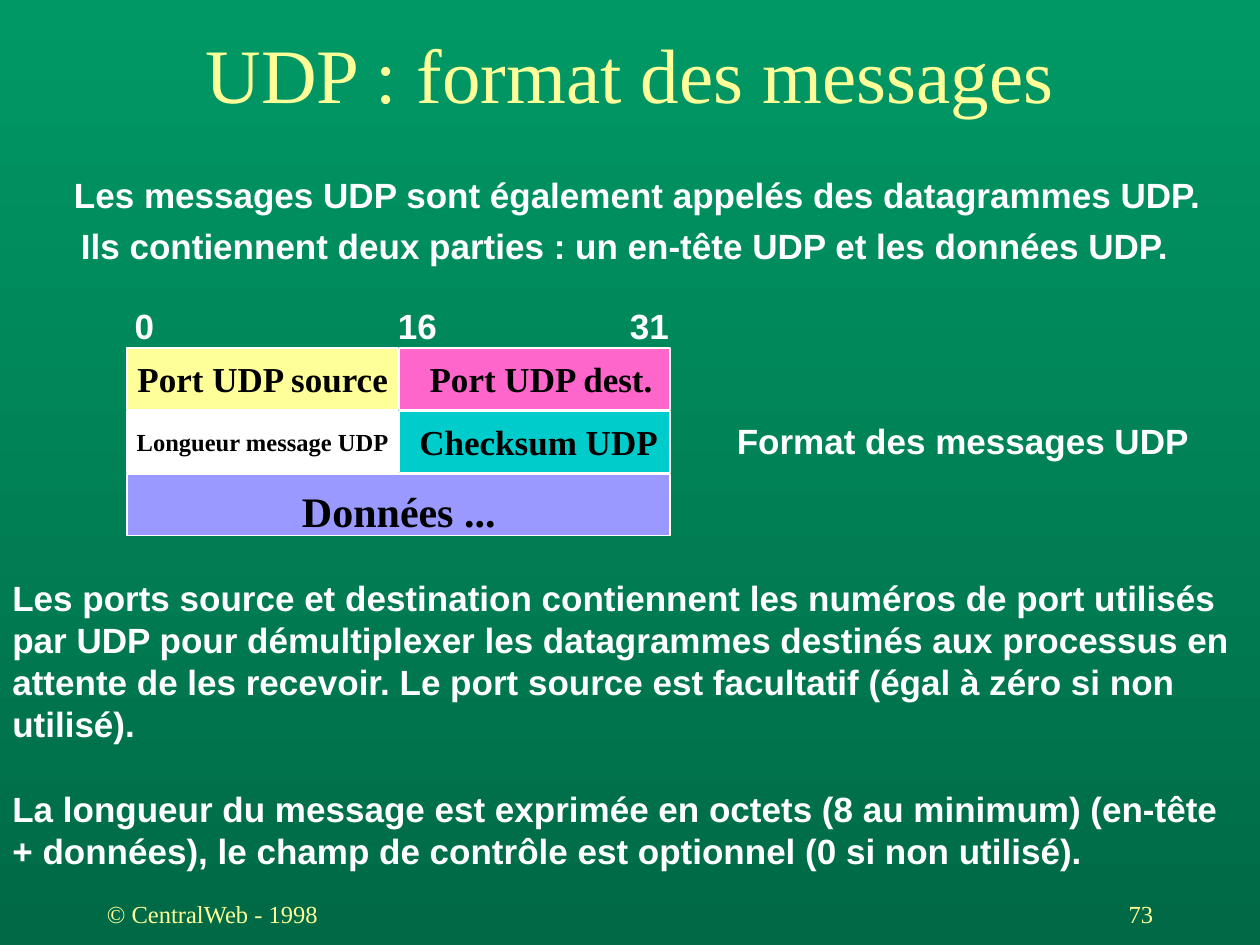
from pptx import Presentation
from pptx.dml.color import RGBColor
from pptx.enum.shapes import MSO_SHAPE as Shape
from pptx.enum.text import MSO_ANCHOR as Anchor, PP_ALIGN as Align
from pptx.oxml import parse_xml
from pptx.oxml.ns import nsdecls
from pptx.util import Inches, Pt

SANS, SERIF = "Arial", "Times New Roman"
WHITE, BLACK, CREAM = "FFFFFF", "000000", "FFFF99"


def color(code):
    return RGBColor.from_string(code)


def paint(slide, top, base):
    fill = slide.background.fill
    fill.gradient()
    fill.gradient_angle = 270
    for stop, code in zip(fill.gradient_stops, (top, base)):
        stop.color.rgb = color(code)


def write(para, text, size, font, code, bold=True, align=Align.LEFT):
    para.alignment = align
    run = para.add_run()
    run.text = text
    run.font.size = Pt(size)
    run.font.name = font
    run.font.bold = bold
    run.font.color.rgb = color(code)


def add_text(slide, box, lines, size=20, font=SANS, code=WHITE, bold=True,
             align=Align.LEFT, anchor=Anchor.TOP, gap=0):
    frame = slide.shapes.add_textbox(*map(Inches, box)).text_frame
    frame.word_wrap = True
    frame.vertical_anchor = anchor
    for i, line in enumerate(lines):
        para = frame.add_paragraph() if i else frame.paragraphs[0]
        if i:
            para.space_before = Pt(gap)
        write(para, line, size, font, code, bold, align)
    return frame


def add_cell(slide, box, fill, text, size=20, shift=0, anchor=Anchor.MIDDLE):
    cell = slide.shapes.add_shape(Shape.RECTANGLE, *map(Inches, box))
    cell.shadow.inherit = False
    cell.fill.solid()
    cell.fill.fore_color.rgb = color(fill)
    cell.line.color.rgb = color(WHITE)
    cell.line.width = Pt(1)
    frame = cell.text_frame
    frame.word_wrap = True
    frame.vertical_anchor = anchor
    frame.margin_left = Inches(shift)
    frame.margin_right = frame.margin_top = frame.margin_bottom = 0
    write(frame.paragraphs[0], text, size, SERIF, BLACK, align=Align.CENTER)


def set_tabs(para, stops):
    tabs = "".join(f'<a:tab pos="{Inches(pos)}" algn="{side}"/>'
                   for pos, side in stops)
    props = para._p.get_or_add_pPr()
    props.insert(0, parse_xml(f'<a:tabLst {nsdecls("a")}>{tabs}</a:tabLst>'))


def add_format(slide):
    # Bit scale above the fields
    scale = add_text(slide, (0.97, 2.37, 4.6, 0.43), ["0\t16\t31"])
    set_tabs(scale.paragraphs[0], [(2.09, "l"), (4.24, "r")])

    # Header fields, two to a row, then the data
    left, top, wide, high = 1.01, 2.76, 2.15, 0.49
    step_x, step_y = 2.16, 0.5
    header = [
        [(CREAM, "Port UDP source", 20, 0), ("FF66CC", "Port UDP dest.", 20, 0.1)],
        [(WHITE, "Longueur message UDP", 14, 0), ("00CCCC", "Checksum UDP", 20, 0.06)],
    ]
    for r, row in enumerate(header):
        for c, field in enumerate(row):
            add_cell(slide, (left + c * step_x, top + r * step_y, wide, high), *field)
    add_cell(slide, (left, top + 2 * step_y, step_x + wide, high),
             "9999FF", "Données ...", 24, anchor=Anchor.BOTTOM)
    add_text(slide, (5.75, 3.28, 4, 0.43), ["Format des messages UDP"])


def main():
    deck = Presentation()
    deck.slide_width, deck.slide_height = Inches(10), Inches(7.5)
    slide = deck.slides.add_slide(deck.slide_layouts[6])
    paint(slide, "009966", "006A46")

    # Title and introduction
    add_text(slide, (0, 0.23, 10, 0.69), ["UDP : format des messages"], 44, SERIF,
             CREAM, False, Align.CENTER, Anchor.MIDDLE)
    intro = add_text(slide, (0, 1.33, 9.92, 0.9), [
        "Les messages UDP sont également appelés des datagrammes UDP.",
        "Ils contiennent deux parties : un en-tête UDP et les données UDP.",
    ], align=Align.CENTER, gap=5)
    intro.paragraphs[0]._p.get_or_add_pPr().set("marL", str(Inches(0.2)))

    add_format(slide)

    # Explanation
    add_text(slide, (0, 4.53, 10, 2.77), [
        "Les ports source et destination contiennent les numéros de port utilisés "
        "par UDP pour démultiplexer les datagrammes destinés aux processus en "
        "attente de les recevoir. Le port source est facultatif (égal à zéro si "
        "non utilisé).",
        "La longueur du message est exprimée en octets (8 au minimum) (en-tête "
        "+ données), le champ de contrôle est optionnel (0 si non utilisé).",
    ], gap=24)

    # Footer
    for x, text, align in ((0.75, "© CentralWeb - 1998", Align.LEFT),
                           (7.17, "73", Align.RIGHT)):
        add_text(slide, (x, 7, 2.08, 0.5), [text], 14, SERIF, CREAM, False,
                 align, Anchor.MIDDLE)

    deck.save("out.pptx")


if __name__ == "__main__":
    main()
